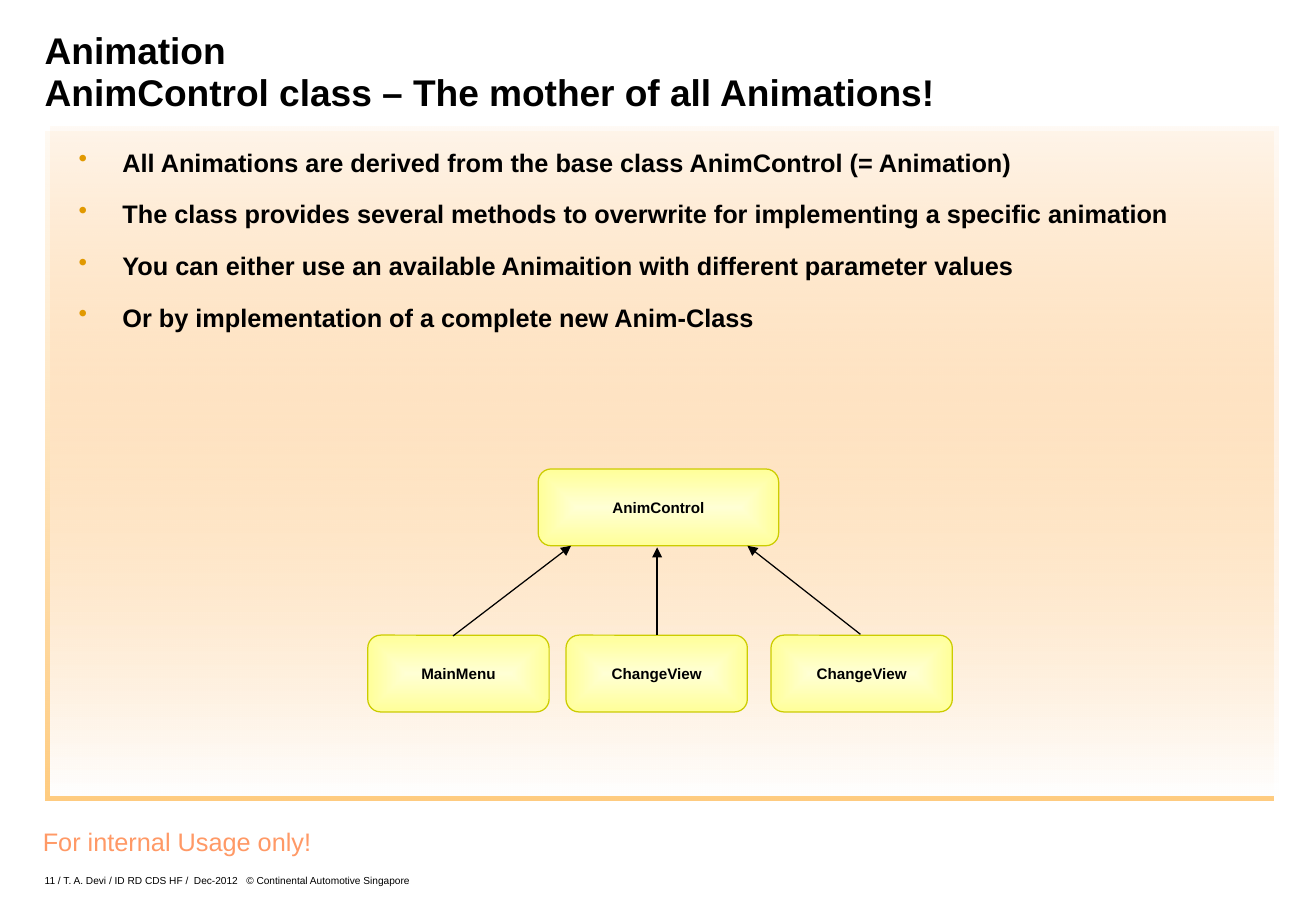
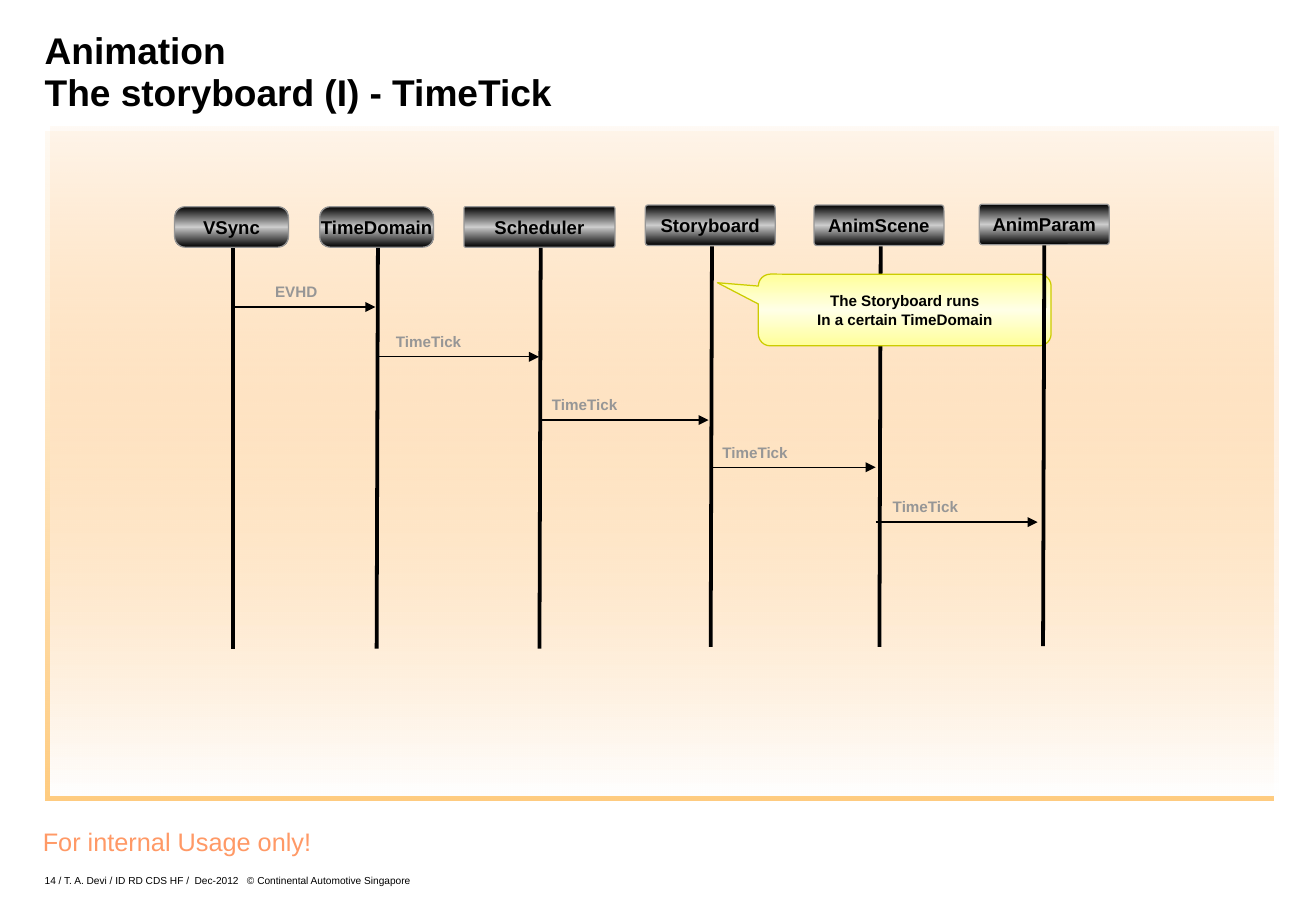
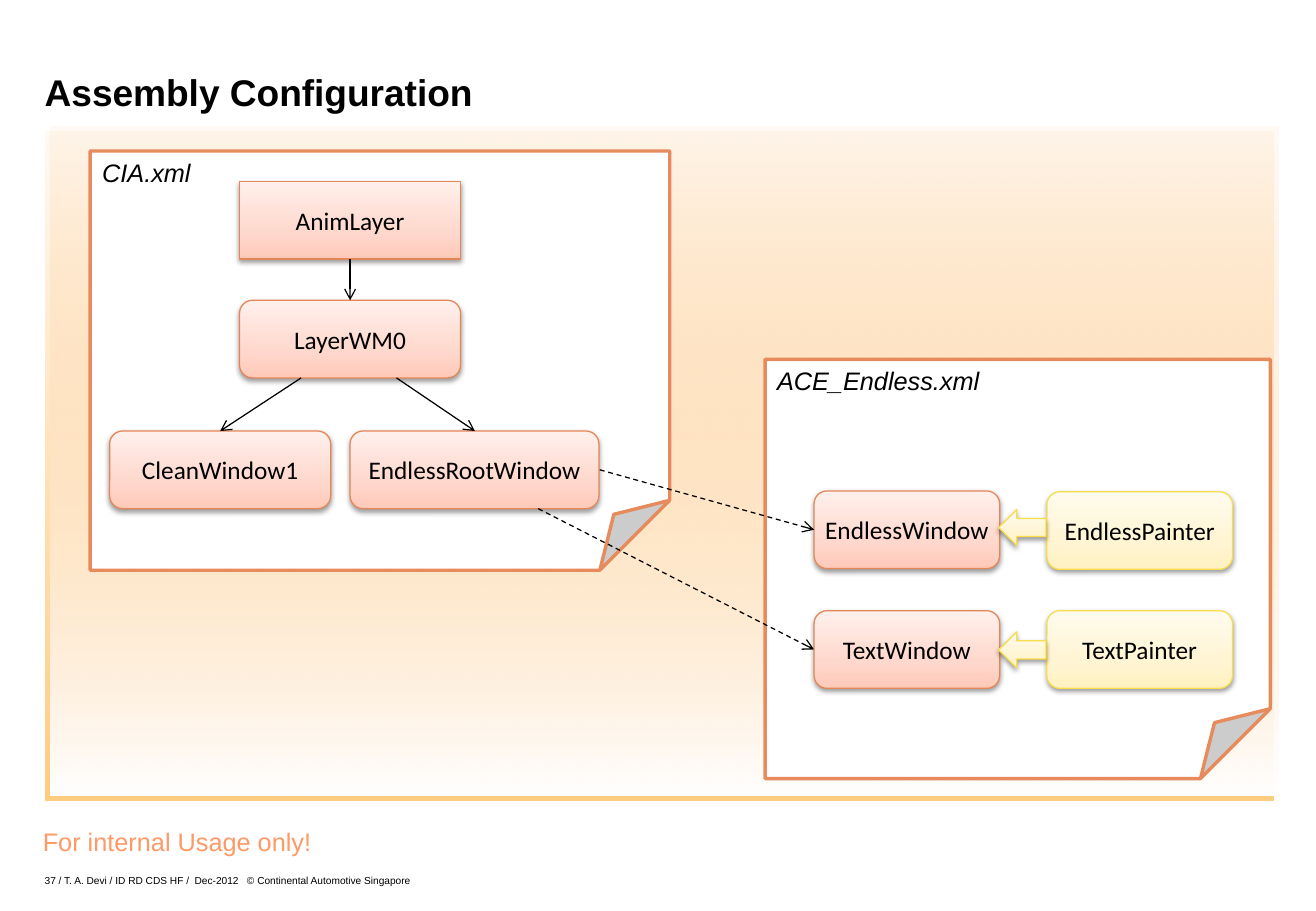
import pptx
import pptx.dml.color
import pptx.enum.dml
import pptx.enum.shapes
import pptx.enum.text
import pptx.oxml
import pptx.oxml.ns
import pptx.util

Pt = pptx.util.Pt
SHAPE = pptx.enum.shapes.MSO_SHAPE
ALIGN = pptx.enum.text.PP_ALIGN
ANCHOR = pptx.enum.text.MSO_ANCHOR

COLORS = {
    "black": "000000", "white": "FFFFFF", "gray": "969696", "silver": "CCCCCC",
    "peach": "FFCC99", "orange": "FF9900", "notice": "FF9966", "bullet": "E19900",
    "cream": "FFFFD4", "ivory": "FFFFE6", "yellow": "FFFF99", "olive": "CCCC00",
    "folder_edge": "E78A5C", "window_edge": "E58657", "painter_edge": "FADD4D",
    "window_deep": "FFC9B9", "window_mid": "FFD8CD", "window_light": "FFF0EC",
    "painter_deep": "FFF1C1", "painter_mid": "FFF5D3", "painter_light": "FFFBEE",
}

# Gradients: stops of (position %, colour, opacity %), then the angle; None runs from the centre
PANEL_FILL = ([(0, "peach", 10), (100, "white", 100)], 90)
CLASS_FILL = ([(0, "cream", 100), (100, "yellow", 100)], None)
LANE_FILL = ([(0, "black", 100), (50, "silver", 100), (100, "black", 100)], 90)
CALLOUT_FILL = ([(0, "yellow", 100), (50, "ivory", 100), (100, "yellow", 100)], 90)
WINDOW_FILL = ([(0, "window_deep", 100), (35, "window_mid", 100), (100, "window_light", 100)], 270)
PAINTER_FILL = ([(0, "painter_deep", 100), (35, "painter_mid", 100), (100, "painter_light", 100)], 270)

# Shadows: colour, opacity %, blur, distance, angle
PANEL_SHADOW = ("orange", 50, 0, 4.2, 135)
NODE_SHADOW = ("black", 38, 3.1, 1.6, 90)

NOTICE = "For internal Usage only!"
FOOTER = "{} / T. A. Devi / ID RD CDS HF /  Dec-2012   © Continental Automotive Singapore"

BULLETS = [
    "All Animations are derived from the base class AnimControl (= Animation)",
    "The class provides several methods to overwrite for implementing a specific animation",
    "You can either use an available Animaition with different parameter values",
    "Or by implementation of a complete new Anim-Class",
]
BASE_CLASS = ("AnimControl", (319, 278, 142.5, 45.5))
SUBCLASSES = [  # name, left, arrow start, arrow end
    ("MainMenu", 218, (268.5, 377), (338.5, 323.5)),
    ("ChangeView", 335.5, (389.5, 376.5), (389.5, 324.5)),
    ("ChangeView", 457, (510, 376), (443, 323.5)),
]

LANES = [  # name, left, top, width, corner, lifeline x
    ("VSync", 103.5, 122.5, 67.5, 0.26, 138),
    ("TimeDomain", 189.5, 122.5, 67.5, 0.26, 224),
    ("Scheduler", 275, 122.5, 89.5, 0.04, 320.5),
    ("Storyboard", 382.5, 121.5, 77, 0.07, 422),
    ("AnimScene", 482.5, 121.5, 77, 0.07, 522),
    ("AnimParam", 580.5, 121, 77, 0.07, 619),
]
MESSAGES = [  # label, label centre, y, start x, end x
    ("EVHD", 175.5, 182, 138, 222.5),
    ("TimeTick", 254, 211.5, 224.5, 319.5),
    ("TimeTick", 346.5, 249, 320.5, 420),
    ("TimeTick", 447.5, 277, 422.5, 519),
    ("TimeTick", 548.5, 309.5, 519, 615),
]
CALLOUT = ["The Storyboard runs", "In a certain TimeDomain"]

FOLDERS = [
    ("CIA.xml", (53.5, 89.5, 343.5, 248.5)),
    ("ACE_Endless.xml", (453.5, 213, 299.5, 248.5)),
]
WINDOWS = [  # name, left, top, width
    ("AnimLayer", 142, 107.5, 131),
    ("LayerWM0", 142, 178, 131),
    ("CleanWindow1", 65, 255.5, 131),
    ("EndlessRootWindow", 207.5, 255.5, 147.5),
    ("EndlessWindow", 482.5, 291, 110),
    ("TextWindow", 482.5, 362, 110),
]
PAINTERS = [("EndlessPainter", 291.5, 302), ("TextPainter", 362, 374.5)]  # name, top, arrow top
CHILD_ARROWS = [
    ((207.5, 153.5), (207.5, 178)),
    ((178.5, 224), (130.5, 255.5)),
    ((235, 224), (281.5, 255.5)),
]
ASSEMBLY_ARROWS = [((355.5, 278.5), (482.5, 314)), ((319, 301.5), (482.5, 385))]


def rgb(name):
    return pptx.dml.color.RGBColor.from_string(COLORS[name])


def xml(text):
    head, rest = text.split(" ", 1)
    return pptx.oxml.parse_xml(f"{head} {pptx.oxml.ns.nsdecls('a')} {rest}")


def color_xml(name, opacity=100):
    return f'<a:srgbClr val="{COLORS[name]}"><a:alpha val="{opacity * 1000}"/></a:srgbClr>'


def gradient_xml(stops, angle):
    stop_list = "".join(f'<a:gs pos="{position * 1000}">{color_xml(name, opacity)}</a:gs>'
                        for position, name, opacity in stops)
    if angle is None:
        course = ('<a:path path="shape"><a:fillToRect l="50000" t="50000" r="50000" b="50000"/>'
                  '</a:path>')
    else:
        course = f'<a:lin ang="{angle * 60000}" scaled="0"/>'
    return xml(f'<a:gradFill rotWithShape="1"><a:gsLst>{stop_list}</a:gsLst>{course}</a:gradFill>')


def shadow_xml(name, opacity, blur, distance, angle):
    return xml(f'<a:outerShdw blurRad="{int(Pt(blur))}" dist="{int(Pt(distance))}" '
               f'dir="{angle * 60000}" algn="ctr" rotWithShape="0">'
               f'{color_xml(name, opacity)}</a:outerShdw>')


def add_figure(page, kind, at, fill, edge=None, edge_width=0.75, shadow=None):
    """Add a preset shape; fill is a colour name or a gradient."""
    shape = page.shapes.add_shape(kind, *map(Pt, at))
    if isinstance(fill, str):
        shape.fill.solid()
        shape.fill.fore_color.rgb = rgb(fill)
    else:
        shape.element.spPr.append(gradient_xml(*fill))
    if edge:
        shape.line.color.rgb = rgb(edge)
        shape.line.width = Pt(edge_width)
    else:
        shape.line.fill.background()
    shape.shadow.inherit = False
    if shadow:
        shape.element.spPr[-1].append(shadow_xml(*shadow))
    return shape


def write(shape, lines, size, color="black", bold=False, italic=False, font="Arial",
          align=ALIGN.CENTER, anchor=ANCHOR.MIDDLE, wrap=False, inset=None):
    """Write one paragraph for each line and return the paragraphs."""
    frame = shape.text_frame
    frame.word_wrap = wrap
    frame.vertical_anchor = anchor
    if inset is not None:
        frame.margin_left = frame.margin_right = Pt(inset)
        frame.margin_top = frame.margin_bottom = Pt(inset)
    for index, line in enumerate(lines):
        para = frame.add_paragraph() if index else frame.paragraphs[0]
        para.alignment = align
        span = para.add_run()
        span.text = line
        span.font.name = font
        span.font.size = Pt(size)
        span.font.bold = bold
        span.font.italic = italic
        span.font.color.rgb = rgb(color)
    return frame.paragraphs


def add_text(page, at, lines, size, **style):
    return write(page.shapes.add_textbox(*map(Pt, at)), lines, size, **style)


def add_line(page, start, end, width=0.75, head=None, dashed=False):
    line = page.shapes.add_connector(pptx.enum.shapes.MSO_CONNECTOR.STRAIGHT,
                                     *map(Pt, (*start, *end)))
    line.line.color.rgb = rgb("black")
    line.line.width = Pt(width)
    if dashed:
        line.line.dash_style = pptx.enum.dml.MSO_LINE.DASH
    if head:
        line.line._get_or_add_ln().append(xml(f'<a:tailEnd type="{head}"/>'))
    line.element.spPr.append(xml("<a:effectLst />"))


def add_page(deck, number, title):
    """Add a slide with the shared panel, notice, title and footer."""
    page = deck.slides.add_slide(deck.slide_layouts[6])
    add_figure(page, SHAPE.RECTANGLE, (30, 75, 728, 396.5), PANEL_FILL, shadow=PANEL_SHADOW)
    add_text(page, (18, 486, 174, 25), [NOTICE], 15, color="notice", anchor=ANCHOR.TOP)
    flush = dict(align=ALIGN.LEFT, anchor=ANCHOR.BOTTOM, wrap=True, inset=0)
    for para in add_text(page, (26.5, 18, 727, 49.5), title, 22, bold=True, **flush):
        para.line_spacing = Pt(24.8)
    footer = add_text(page, (26.5, 514, 247, 11.5), [FOOTER.format(number)], 6, **flush)
    footer[0].line_spacing = Pt(5.5)
    return page


def add_bullets(page, at, lines):
    paras = add_text(page, at, lines, 15, bold=True, align=ALIGN.LEFT, anchor=ANCHOR.TOP, wrap=True)
    for index, para in enumerate(paras):
        properties = para._p.get_or_add_pPr()
        properties.set("marL", str(int(Pt(39))))
        properties.set("indent", str(int(Pt(-26))))
        properties.append(xml(f'<a:buClr >{color_xml("bullet")}</a:buClr>'))
        properties.append(xml('<a:buChar char="•"/>'))
        para.line_spacing = 0.8
        para.space_before = Pt(7.75 if index else 0)
        para.space_after = Pt(8.5)


def add_class(page, name, at):
    box = add_figure(page, SHAPE.ROUNDED_RECTANGLE, at, CLASS_FILL, "olive")
    write(box, [name], 9, bold=True)


def add_lane(page, name, left, top, width, corner, x):
    header = add_figure(page, SHAPE.ROUNDED_RECTANGLE, (left, top, width, 24), LANE_FILL, "gray")
    header.adjustments[0] = corner
    write(header, [name], 11, bold=True)
    lean = 0 if name == "VSync" else 0.75
    add_line(page, (x, top + 24.5), (x - lean, top + 262), width=2.25)


def add_node(page, name, at, fill, edge, kind=SHAPE.ROUNDED_RECTANGLE):
    node = add_figure(page, kind, at, fill, edge, shadow=NODE_SHADOW)
    if name:
        write(node, [name], 15, font="Calibri")


def build_class_page(deck):
    page = add_page(deck, 11, ["Animation", "AnimControl class – The mother of all Animations!"])
    add_bullets(page, (26.5, 87, 711.5, 122.5), BULLETS)
    add_class(page, *BASE_CLASS)
    for name, left, start, end in SUBCLASSES:
        add_class(page, name, (left, 376.5, 107.5, 45.5))
        add_line(page, start, end, head="triangle")


def build_storyboard_page(deck):
    page = add_page(deck, 14, ["Animation", "The storyboard (I) - TimeTick"])
    for lane in LANES[:-1]:
        add_lane(page, *lane)
    callout = add_figure(page, SHAPE.ROUNDED_RECTANGULAR_CALLOUT, (449.5, 162.5, 173.5, 42.5),
                         CALLOUT_FILL, "olive")
    callout.adjustments[0] = -0.64
    callout.adjustments[1] = -0.38
    write(callout, CALLOUT, 9, bold=True, wrap=True)
    add_lane(page, *LANES[-1])
    for label, center, y, start, end in MESSAGES:
        add_line(page, (start, y), (end, y), head="triangle")
        add_text(page, (center - 27, y - 18, 54, 17.5), [label], 9, color="gray", bold=True,
                 anchor=ANCHOR.TOP)


def build_assembly_page(deck):
    page = add_page(deck, 37, ["Assembly Configuration"])
    for name, at in FOLDERS:
        folder = add_figure(page, SHAPE.FOLDED_CORNER, at, "white", "folder_edge", 2)
        write(folder, [name], 15, italic=True, align=ALIGN.LEFT, anchor=ANCHOR.TOP, wrap=True)
    for name, left, top, width in WINDOWS:
        kind = SHAPE.RECTANGLE if name == "AnimLayer" else SHAPE.ROUNDED_RECTANGLE
        add_node(page, name, (left, top, width, 46), WINDOW_FILL, "window_edge", kind)
    for start, end in CHILD_ARROWS:
        add_line(page, start, end, head="arrow")
    for start, end in ASSEMBLY_ARROWS:
        add_line(page, start, end, head="arrow", dashed=True)
    for name, top, arrow_top in PAINTERS:
        add_node(page, name, (620.5, top, 110, 46), PAINTER_FILL, "painter_edge")
        add_node(page, "", (592, arrow_top, 28, 21.5), PAINTER_FILL, "painter_edge",
                 SHAPE.LEFT_ARROW)


def main():
    deck = pptx.Presentation()
    deck.slide_width, deck.slide_height = Pt(780), Pt(540)
    build_class_page(deck)
    build_storyboard_page(deck)
    build_assembly_page(deck)
    deck.save("out.pptx")


if __name__ == "__main__":
    main()
